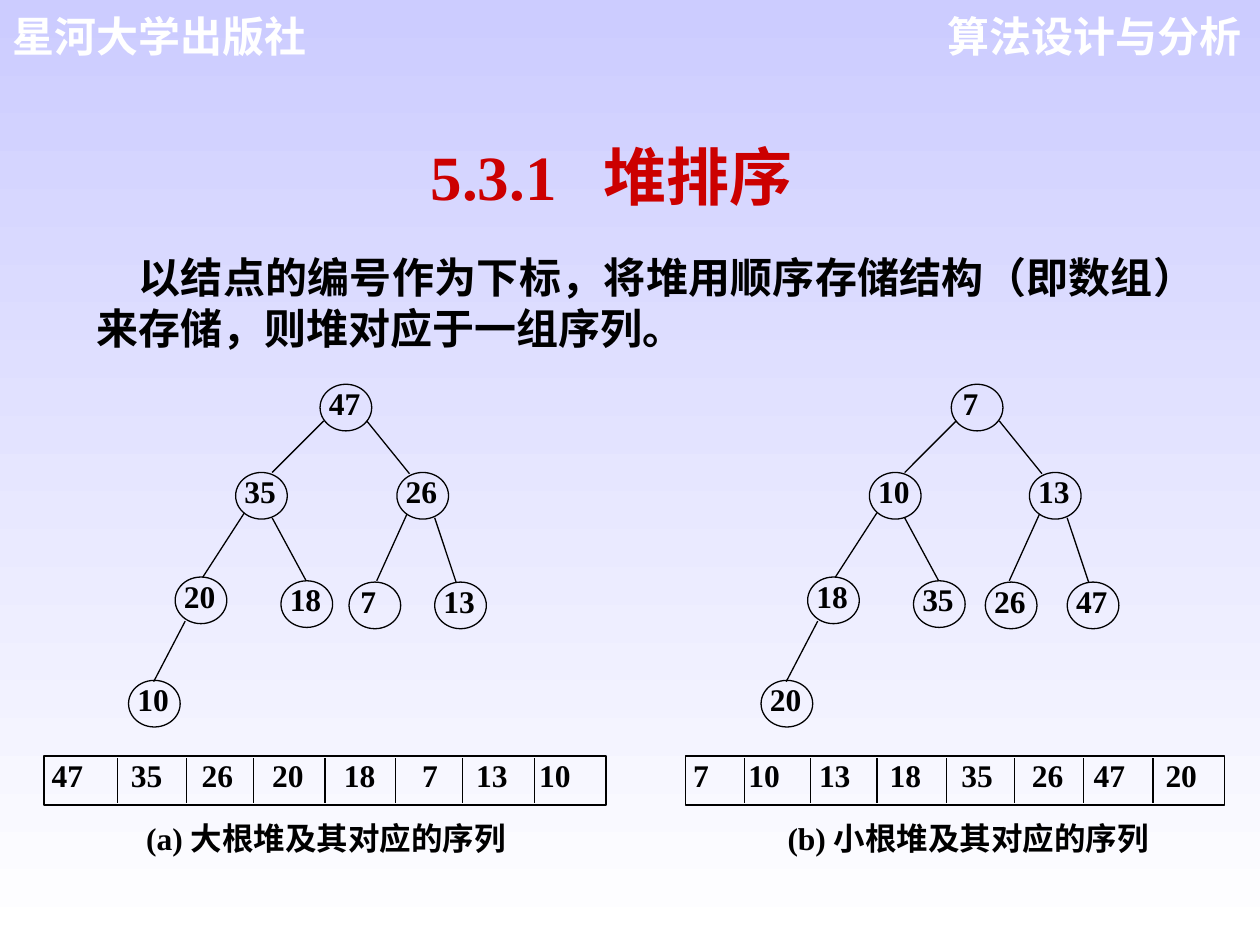
"""Build a slide that pairs max-heap and min-heap trees with their array sequences."""
from lxml import etree
from pptx import Presentation, util as u
from pptx.dml.color import RGBColor
from pptx.enum import shapes, text
from pptx.oxml import ns

BLACK = RGBColor(0, 0, 0)
WHITE = RGBColor(255, 255, 255)
RED = RGBColor(0xCC, 0, 0)
LAVENDER = RGBColor(0xCC, 0xCC, 0xFF)
SERIF, SANS, CJK = "Times New Roman", "Arial", "Noto Sans CJK SC"
AL = text.PP_ALIGN

TITLE = (("5.3.1", SERIF), (" ", SERIF), ("堆排序", CJK))
BODY = "以结点的编号作为下标，将堆用顺序存储结构（即数组）来存储，则堆对应于一组序列。"
HEADERS = [
    ("算法设计与分析", 7.24, AL.RIGHT),
    ("星河大学出版社", 0, AL.LEFT),
]
NODE_W, NODE_H = 0.41, 0.37
NODE_TOPS = [3.05, 3.75, 3.75, 4.58, 4.61, 4.62, 4.62, 5.4]
EDGES = [
    (2.57, 3.34, 2.16, 3.75), (2.91, 3.34, 3.25, 3.76),
    (1.94, 4.07, 1.61, 4.58), (2.16, 4.11, 2.43, 4.61),
    (3.23, 4.08, 2.99, 4.61), (3.45, 4.11, 3.62, 4.62),
    (1.47, 4.93, 1.22, 5.41),
]
HEAPS = [
    dict(
        values=[47, 35, 26, 20, 18, 7, 13, 10], shift=0,
        lefts=[2.54, 1.87, 3.15, 1.39, 2.23, 2.77, 3.45, 1.02],
        array=(0.35, 4.46),
        tabs=[0.63, 1.19, 1.75, 2.32, 2.94, 3.37, 3.87],
        dividers=[0.93, 1.48, 2.01, 2.58, 3.14, 3.67, 4.24],
        caption=("(a) 大根堆及其对应的序列", 1.14, 3.34),
    ),
    dict(
        values=[7, 10, 13, 18, 35, 26, 47, 20], shift=5.02,
        lefts=[7.55, 6.9, 8.17, 6.41, 7.25, 7.82, 8.47, 6.04],
        array=(5.44, 4.28),
        tabs=[0.44, 1, 1.56, 2.13, 2.69, 3.18, 3.75],
        dividers=[5.91, 6.43, 6.96, 7.51, 8.05, 8.6, 9.15],
        caption=("(b) 小根堆及其对应的序列", 6.23, 3.05),
    ),
]


def style_run(r, size, color, font):
    r.font.size, r.font.bold, r.font.name = u.Pt(size), True, font
    r.font.color.rgb = color
    ea = etree.SubElement(r.font._element, ns.qn("a:ea"))
    ea.set("typeface", CJK)


def set_frame(sp, insets):
    tf = sp.text_frame
    tf.word_wrap = True
    tf.auto_size = text.MSO_AUTO_SIZE.NONE
    tf.vertical_anchor = text.MSO_ANCHOR.TOP
    tf.margin_left, tf.margin_top, tf.margin_right, tf.margin_bottom = map(u.Inches, insets)
    return tf


def write(sp, runs, size, color, align, insets, spacing=None):
    p = set_frame(sp, insets).paragraphs[0]
    p.alignment = align
    p.space_before = u.Pt(0)
    if spacing:
        p.line_spacing = spacing
    for words, font in runs:
        r = p.add_run()
        r.text = words
        style_run(r, size, color, font)
    return p


def add_text(s, words, box, size, color, font, align, insets):
    sp = s.shapes.add_textbox(*map(u.Inches, box))
    return write(sp, [(words, font)], size, color, align, insets, u.Pt(size * 1.2))


def add_outline(s, kind, words, box, insets, spacing=None):
    sp = s.shapes.add_shape(kind, *map(u.Inches, box))
    sp.shadow.inherit = False
    sp.fill.background()
    sp.line.color.rgb, sp.line.width = BLACK, u.Pt(0.75)
    return write(sp, [(words, SERIF)], 18, BLACK, AL.LEFT, insets, spacing)


def add_line(s, x1, y1, x2, y2):
    c = s.shapes.add_connector(shapes.MSO_CONNECTOR.STRAIGHT, *map(u.Inches, (x1, y1, x2, y2)))
    c.line.color.rgb, c.line.width = BLACK, u.Pt(0.75)
    etree.SubElement(c._element.spPr, ns.qn("a:effectLst"))


def add_array(s, heap):
    left, width = heap["array"]
    words = "\t".join(map(str, heap["values"]))
    p = add_outline(s, shapes.MSO_SHAPE.RECTANGLE, words, (left, 6, width, 0.39), (0.06, 0, 0.06, 0))
    tabs = etree.SubElement(p._p.get_or_add_pPr(), ns.qn("a:tabLst"))
    for pos in heap["tabs"]:
        etree.SubElement(tabs, ns.qn("a:tab"), pos=str(u.Inches(pos)), algn="l")
    for x in heap["dividers"]:
        add_line(s, x, 6.02, x, 6.37)


def add_tree(s, heap):
    for value, left, top in zip(heap["values"], heap["lefts"], NODE_TOPS):
        inset = 0.01 if value > 9 else 0.03
        add_outline(s, shapes.MSO_SHAPE.OVAL, str(value), (left, top, NODE_W, NODE_H),
                    (inset, 0, 0, 0), 0.8)
    dx = heap["shift"]
    for x1, y1, x2, y2 in EDGES:
        add_line(s, x1 + dx, y1, x2 + dx, y2)


def main():
    prs = Presentation()
    prs.slide_width, prs.slide_height = u.Inches(10), u.Inches(7.5)
    s = prs.slides.add_slide(prs.slide_layouts[5])
    fill = s.background.fill
    fill.gradient()
    fill.gradient_angle = 270
    for stop, color in zip(fill.gradient_stops, (LAVENDER, WHITE)):
        stop.color.rgb = color

    for words, left, align in HEADERS:
        add_text(s, words, (left, 0, 2.71, 0.5), 24, WHITE, SANS, align, (0.1, 0.08, 0.1, 0.05))

    title = s.shapes.title
    title.left, title.top, title.width, title.height = map(u.Inches, (1.52, 1, 6.67, 0.7))
    p = write(title, TITLE, 36, RED, AL.CENTER, (0.1, 0.09, 0.1, 0.05), u.Pt(43.2))
    p.runs[1].font._element.set("spc", "1800")

    p = add_text(s, BODY, (0.67, 1.92, 8.92, 0.9), 24, BLACK, CJK, AL.JUSTIFY, (0.1, 0.08, 0.1, 0.05))
    p._p.get_or_add_pPr().set("indent", str(u.Inches(0.33)))

    for heap in HEAPS:
        words, left, width = heap["caption"]
        add_text(s, words, (left, 6.47, width, 0.4), 18, BLACK, SERIF, AL.LEFT, (0.02, 0.03, 0.02, 0.01))
        add_array(s, heap)
        add_tree(s, heap)
    prs.save("out.pptx")


if __name__ == "__main__":
    main()
